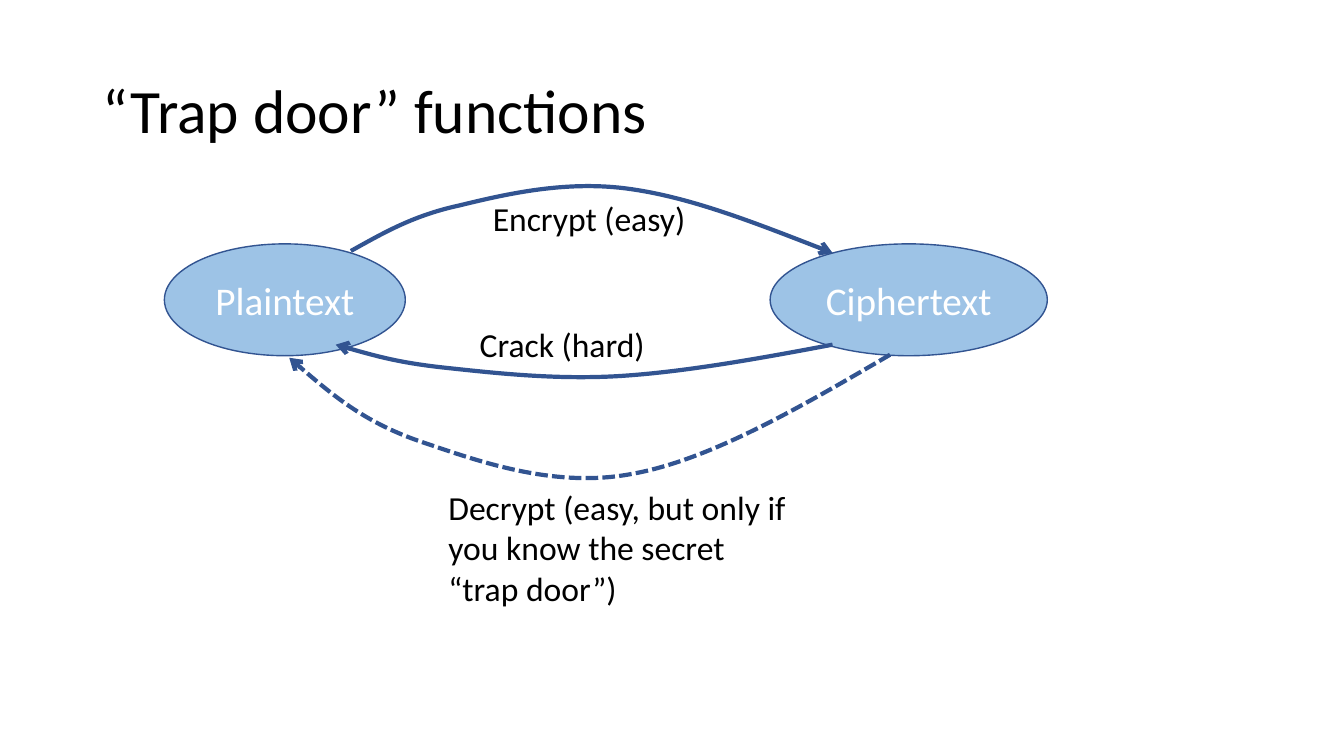
from dataclasses import dataclass

from lxml.etree import SubElement
from pptx import Presentation
from pptx.dml.color import RGBColor
from pptx.enum.dml import MSO_LINE
from pptx.enum.shapes import MSO_SHAPE
from pptx.enum.text import MSO_ANCHOR, MSO_AUTO_SIZE, PP_ALIGN
from pptx.oxml.ns import qn
from pptx.slide import Slide
from pptx.text.text import Font
from pptx.util import Pt

BLACK, WHITE = "000000", "FFFFFF"
OVAL_FILL, LINE_COLOUR = "9DC3E6", "325491"
OVAL_TOP, OVAL_HEIGHT = 174.2, 79.9


@dataclass
class Oval:
    text: str
    left: float
    width: float


@dataclass
class Label:
    lines: list[str]
    left: float
    top: float
    width: float
    height: float


@dataclass
class Arrow:
    """Cubic curve: a start point, then two control points and an end per segment."""
    points: list[tuple[float, float]]
    dashed: bool = False


OVALS = [Oval("Plaintext", 117.4, 172.1), Oval("Ciphertext", 550.1, 198)]

ARROWS = [
    Arrow([(250.6, 179.3),
           (272.9, 167), (294.5, 154.1), (327.6, 146.9),
           (360, 139), (402.5, 128.9), (447.1, 134.6),
           (491.8, 140.4), (542.9, 160.6), (594.7, 180.7)]),
    Arrow([(594.7, 246.2),
           (541.4, 256.3), (488.9, 265.7), (442.8, 268.6),
           (396.7, 271.4), (352.8, 266.4), (319, 262.8),
           (285.1, 259.2), (262.8, 252.7), (239.8, 246.2)]),
    Arrow([(635.8, 253.4),
           (571.7, 290.9), (507.6, 328.3), (452.2, 338.4),
           (396.7, 349.2), (342.7, 329.8), (302.4, 316.1),
           (261.4, 302.4), (234, 279.4), (206.6, 255.6)], dashed=True),
]

LABELS = [
    Label(["Encrypt (easy)"], 344.9, 137.5, 186.5, 36),
    Label(["Crack (hard)"], 335.5, 227.5, 186.5, 36),
    Label(["Decrypt (easy, but only if you know the secret", "“trap door”)"],
          313.2, 344.2, 281.5, 94.3),
]


def colour(value: str) -> RGBColor:
    return RGBColor.from_string(value)


def set_font(font: Font, size: float, value: str) -> None:
    font.name = "Calibri"
    font.size = Pt(size)
    font.color.rgb = colour(value)


def place_title(slide: Slide, text: str) -> None:
    title = slide.shapes.title
    title.left, title.top, title.width, title.height = Pt(66), Pt(28.8), Pt(828), Pt(104.4)
    frame = title.text_frame
    frame.text = text
    frame.auto_size = MSO_AUTO_SIZE.NONE
    frame.vertical_anchor = MSO_ANCHOR.MIDDLE
    para = frame.paragraphs[0]
    para.alignment = PP_ALIGN.LEFT
    para.line_spacing = 0.9
    set_font(para.font, 44, BLACK)


def add_oval(slide: Slide, oval: Oval) -> None:
    shape = slide.shapes.add_shape(
        MSO_SHAPE.OVAL, Pt(oval.left), Pt(OVAL_TOP), Pt(oval.width), Pt(OVAL_HEIGHT))
    shape.shadow.inherit = False
    shape.fill.solid()
    shape.fill.fore_color.rgb = colour(OVAL_FILL)
    shape.line.color.rgb = colour(LINE_COLOUR)
    shape.line.width = Pt(1)
    frame = shape.text_frame
    frame.text = oval.text
    frame.vertical_anchor = MSO_ANCHOR.MIDDLE
    para = frame.paragraphs[0]
    para.alignment = PP_ALIGN.CENTER
    set_font(para.font, 28, WHITE)


def add_arrow(slide: Slide, arrow: Arrow) -> None:
    start, *rest = [(Pt(x), Pt(y)) for x, y in arrow.points]
    builder = slide.shapes.build_freeform(*start)
    builder.add_line_segments(rest, close=False)
    shape = builder.convert_to_shape()
    shape.shadow.inherit = False
    shape.fill.background()
    shape.line.color.rgb = colour(LINE_COLOUR)
    shape.line.width = Pt(3)
    if arrow.dashed:
        shape.line.dash_style = MSO_LINE.SQUARE_DOT

    # Every three straight segments become one Bézier segment.
    properties = shape._element.spPr
    outline = next(properties.iter(qn("a:path")))
    segments = outline.findall(qn("a:lnTo"))
    for first in range(0, len(segments), 3):
        curve = SubElement(outline, qn("a:cubicBezTo"))
        for segment in segments[first:first + 3]:
            curve.append(segment[0])
            outline.remove(segment)
    SubElement(properties.find(qn("a:ln")), qn("a:tailEnd"), type="arrow")


def add_label(slide: Slide, label: Label) -> None:
    box = slide.shapes.add_textbox(
        Pt(label.left), Pt(label.top), Pt(label.width), Pt(label.height))
    frame = box.text_frame
    frame.word_wrap = True
    frame.auto_size = MSO_AUTO_SIZE.SHAPE_TO_FIT_TEXT
    frame.text = "\n".join(label.lines)
    for para in frame.paragraphs:
        set_font(para.font, 24, BLACK)


def main() -> None:
    deck = Presentation()
    deck.slide_width, deck.slide_height = Pt(960), Pt(540)
    slide = deck.slides.add_slide(deck.slide_layouts.get_by_name("Title Only"))
    place_title(slide, "“Trap door” functions")
    for oval in OVALS:
        add_oval(slide, oval)
    for arrow in ARROWS:
        add_arrow(slide, arrow)
    for label in LABELS:
        add_label(slide, label)
    deck.save("out.pptx")


if __name__ == "__main__":
    main()
